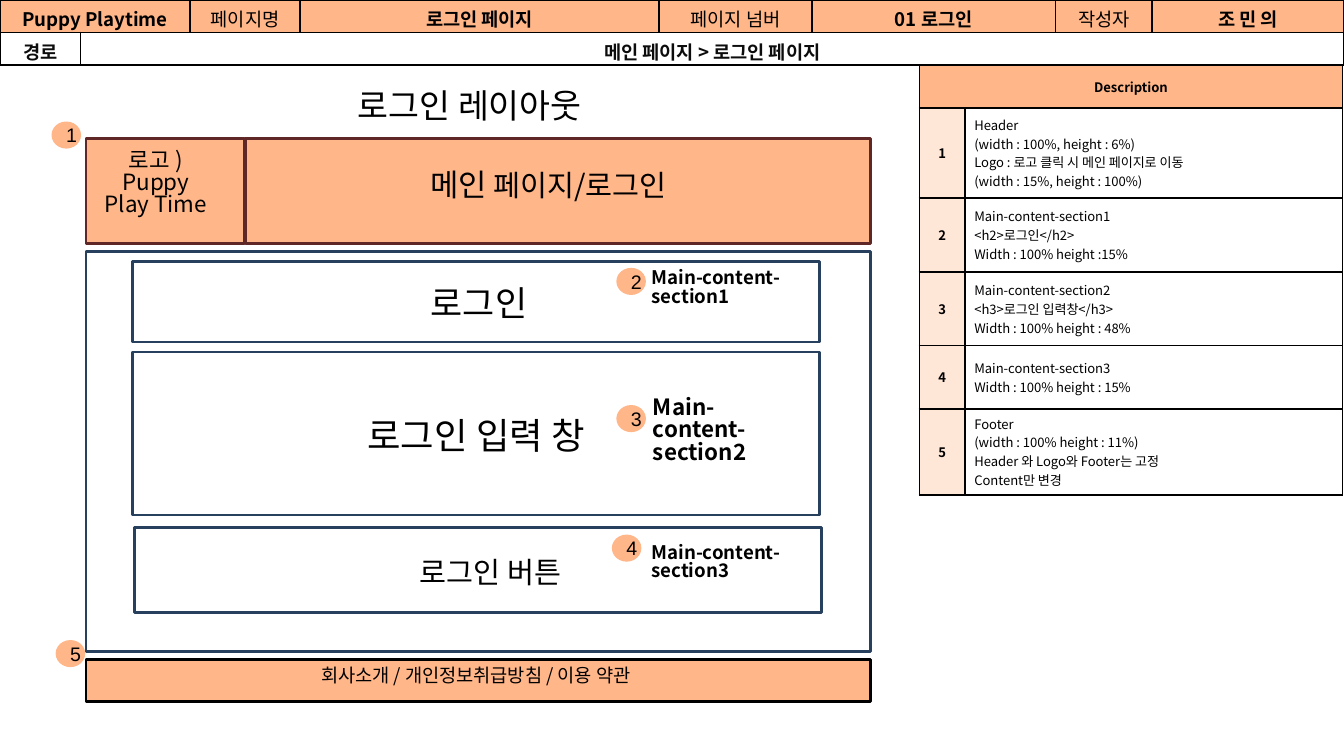
from lxml import etree
from pptx import Presentation
from pptx.dml.color import RGBColor
from pptx.enum.shapes import MSO_SHAPE
from pptx.enum.text import MSO_ANCHOR, PP_ALIGN
from pptx.oxml.ns import qn
from pptx.util import Pt

RECT, OVAL = MSO_SHAPE.RECTANGLE, MSO_SHAPE.OVAL
TOP, MIDDLE = MSO_ANCHOR.TOP, MSO_ANCHOR.MIDDLE
LEFT, CENTER = PP_ALIGN.LEFT, PP_ALIGN.CENTER

PEACH = RGBColor(0xFF, 0xB6, 0x89)
PALE_PEACH = RGBColor(0xFF, 0xE7, 0xD8)
WHITE = RGBColor(0xFF, 0xFF, 0xFF)
BLACK = RGBColor(0, 0, 0)
NEAR_BLACK = RGBColor(0x0C, 0x0C, 0x0C)
BROWN = RGBColor(0x5F, 0x28, 0x26)
NAVY = RGBColor(0x27, 0x40, 0x5E)
KOREAN, NUMERAL = "Noto Sans CJK KR", "Arial"
TIGHT = 0.83

TITLE = "로그인 레이아웃"
TITLE_BOX = (144, 43.9, 215.3, 28.1)

# (left, top, width, height), fill, line
FRAMES = [
    ((46.1, 74.2, 85, 56.2), PEACH, BROWN),
    ((131.5, 74.2, 334.8, 56.2), PEACH, BROWN),
    ((46.1, 353.5, 420.1, 22.3), PEACH, BLACK),
    ((46.1, 134.6, 420.1, 214.6), WHITE, NAVY),
    ((71, 139.9, 368.2, 43.4), WHITE, NAVY),
    ((71, 188.6, 368.2, 87.4), WHITE, NAVY),
    ((72.1, 282.8, 368.2, 45.4), WHITE, NAVY),
]

# box, fill, paragraphs of (text, size) runs
LABELS = [
    ((48.2, 77, 70.6, 51.1), PEACH, [[("로고 )", 12)], [("Puppy Play Time", 12)]]),
    ((157.7, 88.6, 272.2, 27.4), PEACH, [[("메인", 16.5), (" 페이지/로그인", 15.7)]]),
    ((79.9, 354.2, 349.9, 19.4), PEACH, [[("회사소개 / 개인정보취급방침 / 이용 약관", 10)]]),
    ((156.2, 151.2, 200.9, 30.2), WHITE, [[("로그인", 18.7)]]),
    ((115.9, 221.8, 278.6, 31), WHITE, [[("로그인 입력 창", 19.5)]]),
    ((151.9, 296.6, 221.8, 25.2), WHITE, [[("로그인 버튼", 15.7)]]),
]
SECTION_NAMES = [
    ((342, 141.1, 94.3, 31.7), "Main-content-section1", 10),
    ((342.7, 209.5, 94.3, 51.1), "Main-content-section2", 12),
    ((342, 288, 95.8, 31.7), "Main-content-section3", 10),
]
BADGE_SIZE = (13.8, 12.5)
BADGES = [(28.6, 66.1), (331.2, 144.5), (331.2, 218), (328.8, 287.4), (30.8, 343.9)]

PAGE_COLUMNS = [43.2, 58.6, 59, 192.2, 82.1, 130.3, 51.8, 102.8]
PAGE_ROW = 17.4
# column, text, bold
PAGE_INFO = [
    (0, "Puppy Playtime", True), (2, "페이지명", False), (3, "로그인 페이지", True),
    (4, "페이지 넘버", False), (5, "01 로그인", True), (6, "작성자", False),
    (7, "조 민 의", True),
]
PATH_INFO = [(0, "경로"), (1, "메인 페이지 > 로그인 페이지")]

DESCRIPTION_COLUMNS = [24.5, 202.3]
DESCRIPTION_ROWS = [23, 48.2, 39.6, 39.6, 33.8, 46.1]
DESCRIPTIONS = [
    ["Header", "(width : 100%, height : 6%)", "Logo : 로고 클릭 시 메인 페이지로 이동",
     "(width : 15%, height : 100%)"],
    ["Main-content-section1", "<h2>로그인</h2>", "Width : 100% height :15%"],
    ["Main-content-section2", "<h3>로그인 입력창</h3>", "Width : 100% height : 48%"],
    ["Main-content-section3", "Width : 100% height : 15%"],
    ["Footer", "(width : 100% height : 11%)", "Header 와 Logo와 Footer는 고정",
     "Content만 변경"],
]


def write(frame, paragraphs, align=CENTER, bold=False, color=BLACK, font=KOREAN, spacing=None):
    """Fill a text frame with paragraphs, each a list of (text, size) runs."""
    for index, runs in enumerate(paragraphs):
        paragraph = frame.add_paragraph() if index else frame.paragraphs[0]
        paragraph.alignment = align
        if spacing:
            paragraph.line_spacing = spacing
        for text, size in runs:
            run = paragraph.add_run()
            run.text = text
            style = {"name": font, "size": Pt(size), "bold": bold}
            for key, value in style.items():
                setattr(run.font, key, value)
            run.font.color.rgb = color
            east_asian = etree.SubElement(run.font._element, qn("a:ea"))
            east_asian.set("typeface", font)


def set_margins(target, left, top, right, bottom):
    margins = {"left": left, "top": top, "right": right, "bottom": bottom}
    for side, value in margins.items():
        setattr(target, f"margin_{side}", Pt(value))


def add_block(slide, kind, box, fill, line=None, line_width=1.5):
    block = slide.shapes.add_shape(kind, *map(Pt, box))
    block.shadow.inherit = False
    block.fill.solid()
    block.fill.fore_color.rgb = fill
    if line is None:
        block.line.fill.background()
    else:
        block.line.color.rgb = line
        block.line.width = Pt(line_width)
    block.text_frame.word_wrap = True
    block.text_frame.vertical_anchor = TOP
    return block


def add_grid(slide, left, top, columns, rows):
    """Add a table with the given column widths and row heights."""
    box = (left, top, sum(columns), sum(rows))
    table = slide.shapes.add_table(len(rows), len(columns), *map(Pt, box)).table
    for column, width in zip(table.columns, columns):
        column.width = Pt(width)
    for row, height in zip(table.rows, rows):
        row.height = Pt(height)
    return table


def format_cell(cell, fill, margins, anchor=MIDDLE):
    set_margins(cell, *margins)
    cell.vertical_anchor = anchor
    properties = cell._tc.get_or_add_tcPr()
    for side in ("lnL", "lnR", "lnT", "lnB"):
        border = etree.SubElement(properties, qn(f"a:{side}"), w=str(Pt(1)))
        solid = etree.SubElement(border, qn("a:solidFill"))
        etree.SubElement(solid, qn("a:srgbClr"), val=str(BLACK))
    cell.fill.solid()
    cell.fill.fore_color.rgb = fill


def add_description_table(slide):
    table = add_grid(slide, 492.5, 34.8, DESCRIPTION_COLUMNS, DESCRIPTION_ROWS)
    margins = (5, 2.2, 5, 2.2)
    for cell in table.iter_cells():
        format_cell(cell, WHITE, margins)
    heading = table.cell(0, 0)
    heading.merge(table.cell(0, 1))
    heading.fill.fore_color.rgb = PEACH
    write(heading.text_frame, [[("Description", 7)]], bold=True)
    for number, lines in enumerate(DESCRIPTIONS, 1):
        number_cell, detail = table.cell(number, 0), table.cell(number, 1)
        number_cell.fill.fore_color.rgb = PALE_PEACH
        write(number_cell.text_frame, [[(str(number), 7)]], bold=True)
        write(detail.text_frame, [[(line, 7)] for line in lines], LEFT)


def add_page_table(slide):
    table = add_grid(slide, 0, 0, PAGE_COLUMNS, [PAGE_ROW] * 2)
    margins = (6.5, 2.9, 6.5, 0)
    for index, cell in enumerate(table.iter_cells()):
        in_top_row = index < len(PAGE_COLUMNS)
        format_cell(cell, PEACH if in_top_row else WHITE, margins, TOP if in_top_row else MIDDLE)
    table.cell(0, 0).merge(table.cell(0, 1))
    table.cell(1, 1).merge(table.cell(1, len(PAGE_COLUMNS) - 1))
    for column, text, bold in PAGE_INFO:
        write(table.cell(0, column).text_frame, [[(text, 10)]], bold=bold)
    for column, text in PATH_INFO:
        write(table.cell(1, column).text_frame, [[(text, 10)]], bold=True, color=NEAR_BLACK)


def main():
    deck = Presentation()
    deck.slide_width, deck.slide_height = Pt(720), Pt(405)
    slide = deck.slides.add_slide(deck.slide_layouts[5])

    title = slide.shapes.title
    title.left, title.top, title.width, title.height = map(Pt, TITLE_BOX)
    title.text_frame.vertical_anchor = MIDDLE
    write(title.text_frame, [[(TITLE, 18)]], spacing=TIGHT)

    for box, fill, line in FRAMES:
        add_block(slide, RECT, box, fill, line)
    for box, fill, paragraphs in LABELS:
        write(add_block(slide, RECT, box, fill).text_frame, paragraphs, spacing=TIGHT)
    for box, name, size in SECTION_NAMES:
        label = add_block(slide, RECT, box, WHITE)
        write(label.text_frame, [[(name, size)]], LEFT, bold=True, spacing=TIGHT)

    add_description_table(slide)
    add_page_table(slide)

    for number, position in enumerate(BADGES, 1):
        badge = add_block(slide, OVAL, position + BADGE_SIZE, PEACH, PEACH, 2)
        badge.text_frame.vertical_anchor = MIDDLE
        set_margins(badge.text_frame, 5, 2.9, 5, 2.9)
        write(badge.text_frame, [[(str(number), 10.5)]], font=NUMERAL)

    deck.save("out.pptx")


if __name__ == "__main__":
    main()
